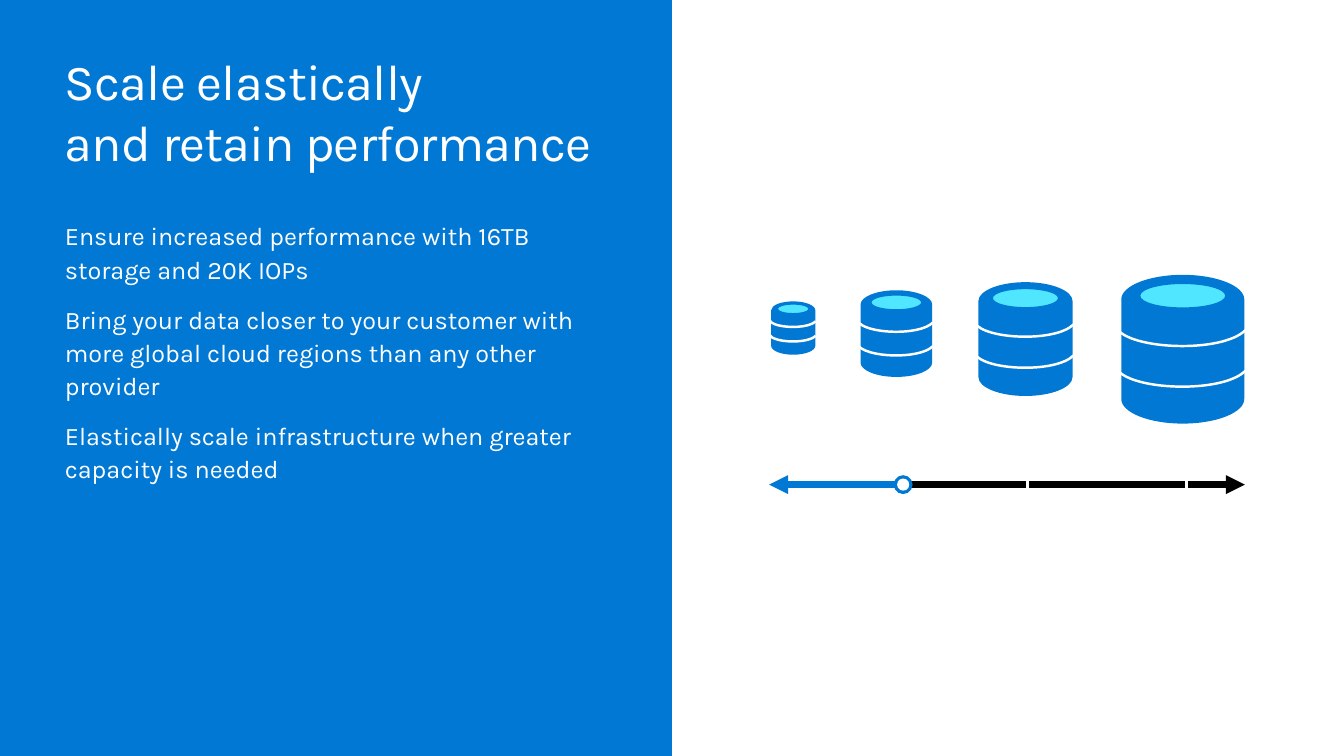
"""Builds a slide about elastic scaling, with growing database cylinders above a scale."""
from pptx import Presentation
from pptx.dml.color import RGBColor as Color
from pptx.enum.shapes import MSO_CONNECTOR as Connector, MSO_SHAPE as Shape
from pptx.enum.text import MSO_ANCHOR as Anchor, MSO_AUTO_SIZE as AutoSize, PP_ALIGN as Align
from pptx.oxml.ns import qn
from pptx.util import Inches, Pt

THEME = {
    "font": "Karla",
    "title": Pt(36),
    "body": Pt(18),
    "blue": Color.from_string("0078D4"),
    "cyan": Color.from_string("50E6FF"),
    "white": Color.from_string("FFFFFF"),
    "black": Color.from_string("000000"),
}

presentation = Presentation()
presentation.slide_width = Inches(13.333)
presentation.slide_height = Inches(7.5)
slide = presentation.slides.add_slide(presentation.slide_layouts[5])
shapes = slide.shapes


def across(percent):
    return round(presentation.slide_width * percent / 100)


def down(percent):
    return round(presentation.slide_height * percent / 100)


panel = shapes.add_shape(Shape.RECTANGLE, 0, 0, across(50), down(100))
panel.fill.solid()
panel.fill.fore_color.rgb = THEME["blue"]
panel.line.fill.background()
panel.shadow.inherit = False
slide.slide_layout.shapes._spTree.insert(2, panel._element)

body = shapes.add_textbox(0, 0, across(40), down(35))
text_blocks = [
    (shapes.title, 6.67, 16.13, "title", {}, ["Scale elastically\vand retain performance"]),
    (body, 28.8, 35.2, "body", {"line_spacing": 1.1, "space_before": Pt(12)}, [
        "Ensure increased performance with 16TB storage and 20K IOPs",
        "Bring your data closer to your customer with more global cloud regions than any other provider",
        "Elastically scale infrastructure when greater capacity is needed",
    ]),
]
frame_format = {
    "margin_left": 0, "margin_top": 0, "margin_right": 0, "margin_bottom": 0,
    "word_wrap": True, "auto_size": AutoSize.NONE, "vertical_anchor": Anchor.TOP,
}
for shape, top, height, size, spacing, texts in text_blocks:
    place = {"left": across(4.83), "top": down(top), "width": across(40.2), "height": down(height)}
    for name, value in place.items():
        setattr(shape, name, value)
    frame = shape.text_frame
    frame.text = "\n".join(texts)
    for name, value in frame_format.items():
        setattr(frame, name, value)
    for paragraph in frame.paragraphs:
        for name, value in {"alignment": Align.LEFT, **spacing}.items():
            setattr(paragraph, name, value)
        for run in paragraph.runs:
            for name, value in {"name": THEME["font"], "size": THEME[size]}.items():
                setattr(run.font, name, value)
            run.font.color.rgb = THEME["white"]
            if size == "title":
                run._r.get_or_add_rPr().set("spc", "-50")

BEND = 0.55
upper_half = [(-1, -BEND), (-BEND, -1), (0, -1), (BEND, -1), (1, -BEND), (1, 0)]
lower_half = [(-x, -y) for x, y in upper_half]
RIM, HEIGHT = 0.2, 1.21
wall = [(-1, 0, RIM)] + [(x, y, RIM) for x, y in upper_half]
wall += [(1, 0, HEIGHT - RIM)] * 3 + [(x, y, HEIGHT - RIM) for x, y in lower_half]
wall_outline = [(0.5 + 0.5 * x, center + RIM * y) for x, y, center in wall]
hole = [(1, 0)] + [(-x, y) for x, y in upper_half + lower_half]
hole_outline = [(0.5 + 0.345 * x, 0.17 + 0.095 * y) for x, y in hole]
band_curve = [(-0.04, 0.43), (0.06, 0.61), (0.82, 0.64), (1.01, 0.45)]
lower_band_curve = [(x, y + 0.33) for x, y in band_curve]
cylinder_parts = [([wall_outline, hole_outline], True), ([band_curve], False), ([lower_band_curve], False)]

diagram = shapes.add_group_shape().shapes
cylinders = [(57.38, 39.87, 3.28), (64.03, 38.4, 5.33), (72.8, 37.33, 7), (83.43, 36.35, 9.15)]
for left_share, top_share, width_share in cylinders:
    left, top, width = across(left_share), down(top_share), across(width_share)
    lid = diagram.add_shape(Shape.OVAL, round(left + 0.05 * width), round(top + 0.06 * width),
                            round(0.9 * width), round(0.31 * width))
    lid.fill.solid()
    lid.fill.fore_color.rgb = THEME["cyan"]
    lid.line.fill.background()
    lid.shadow.inherit = False
    for contours, solid in cylinder_parts:
        placed = [[(left + x * width, top + y * width) for x, y in contour] for contour in contours]
        builder = diagram.build_freeform(*placed[0][0])
        for index, contour in enumerate(placed):
            if index:
                builder.move_to(*contour[0])
            builder.add_line_segments(contour[1:], close=solid)
        part = builder.convert_to_shape()
        segments = list(part._element.iter(qn("a:lnTo")))
        for first, second, third in zip(segments[::3], segments[1::3], segments[2::3]):
            curve = first.makeelement(qn("a:cubicBezTo"), {})
            first.addprevious(curve)
            for segment in (first, second, third):
                curve.append(segment[0])
                segment.getparent().remove(segment)
        if solid:
            part.fill.solid()
            part.fill.fore_color.rgb = THEME["blue"]
            part.line.fill.background()
        else:
            part.fill.background()
            part.line.color.rgb = THEME["white"]
            part.line.width = Pt(1.75)
        part.shadow.inherit = False

scale = shapes.add_group_shape().shapes
scale_lines = [
    (67.8, 64.1, 92.63, 64.1, "black", 4.5, {"tailEnd": "triangle"}),
    (57.23, 64.1, 67.2, 64.1, "blue", 4.5, {"headEnd": "triangle", "tailEnd": "oval"}),
    (76.43, 63.47, 76.43, 66, "white", 2, {}),
    (88.28, 62.4, 88.28, 64.93, "white", 2, {}),
]
for x1, y1, x2, y2, color, weight, ends in scale_lines:
    connector = scale.add_connector(Connector.STRAIGHT, across(x1), down(y1), across(x2), down(y2))
    connector.line.color.rgb = THEME[color]
    connector.line.width = Pt(weight)
    properties = connector._element.spPr
    outline = properties.find(qn("a:ln"))
    for tag, kind in ends.items():
        outline.append(outline.makeelement(qn(f"a:{tag}"), {"type": kind}))
    properties.append(properties.makeelement(qn("a:effectLst"), {}))

marker = scale.add_shape(Shape.OVAL, across(66.75), down(63.3), across(0.9), down(1.6))
marker.fill.solid()
marker.fill.fore_color.rgb = THEME["white"]
marker.line.fill.background()
marker.shadow.inherit = False

presentation.save("out.pptx")
